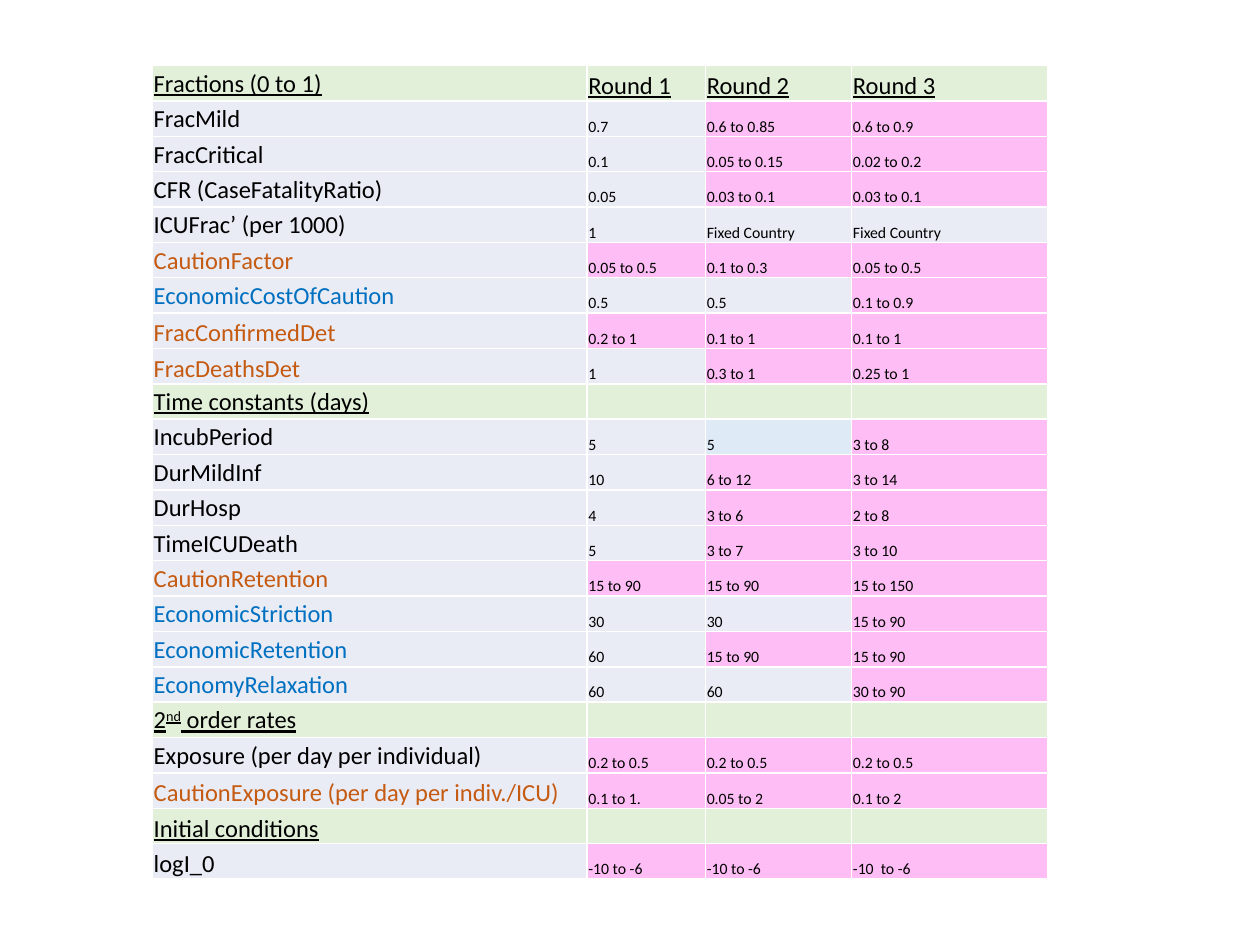
import pptx
import pptx.dml.color
import pptx.enum.text
import pptx.oxml.ns
import pptx.util
from lxml import etree

RGBColor = pptx.dml.color.RGBColor
Inches = pptx.util.Inches
MIDDLE = pptx.enum.text.MSO_ANCHOR.MIDDLE
BOTTOM = pptx.enum.text.MSO_ANCHOR.BOTTOM

BLACK = RGBColor(0x00, 0x00, 0x00)
ORANGE = RGBColor(0xC5, 0x5A, 0x11)
BLUE = RGBColor(0x00, 0x70, 0xC0)
WHITE = RGBColor(0xFF, 0xFF, 0xFF)
SECTION_FILL = RGBColor(0xE2, 0xF0, 0xD9)
FIXED_FILL = RGBColor(0xE9, 0xEB, 0xF5)
RANGE_FILL = RGBColor(0xFE, 0xBE, 0xF5)
SPECIAL_FILLS = {
    ("IncubPeriod", 2): RGBColor(0xDE, 0xEB, 0xF7),
    ("EconomicStriction", 2): RGBColor(0xE9, 0xEC, 0xF6),
}

# Each section: heading, heading cells, then (parameter, colour, rounds 1 to 3).
# A heading given as a tuple has its second part raised.
SECTIONS = [
    ("Fractions (0 to 1)", ("Round 1", "Round 2", "Round 3"), [
        ("FracMild", BLACK, ("0.7", "0.6 to 0.85", "0.6 to 0.9")),
        ("FracCritical", BLACK, ("0.1", "0.05 to 0.15", "0.02 to 0.2")),
        ("CFR (CaseFatalityRatio)", BLACK, ("0.05", "0.03 to 0.1", "0.03 to 0.1")),
        ("ICUFrac’ (per 1000)", BLACK, ("1", "Fixed Country", "Fixed Country")),
        ("CautionFactor", ORANGE, ("0.05 to 0.5", "0.1 to 0.3", "0.05 to 0.5")),
        ("EconomicCostOfCaution", BLUE, ("0.5", "0.5", "0.1 to 0.9")),
        ("FracConfirmedDet", ORANGE, ("0.2 to 1", "0.1 to 1", "0.1 to 1")),
        ("FracDeathsDet", ORANGE, ("1", "0.3 to 1", "0.25 to 1")),
    ]),
    ("Time constants (days)", ("", "", ""), [
        ("IncubPeriod", BLACK, ("5", "5", "3 to 8")),
        ("DurMildInf", BLACK, ("10", "6 to 12", "3 to 14")),
        ("DurHosp", BLACK, ("4", "3 to 6", "2 to 8")),
        ("TimeICUDeath", BLACK, ("5", "3 to 7", "3 to 10")),
        ("CautionRetention", ORANGE, ("15 to 90", "15 to 90", "15 to 150")),
        ("EconomicStriction", BLUE, ("30", "30", "15 to 90")),
        ("EconomicRetention", BLUE, ("60", "15 to 90", "15 to 90")),
        ("EconomyRelaxation", BLUE, ("60", "60", "30 to 90")),
    ]),
    (("2", "nd", " order rates"), ("", "", ""), [
        ("Exposure (per day per individual)", BLACK,
         ("0.2 to 0.5", "0.2 to 0.5", "0.2 to 0.5")),
        ("CautionExposure (per day per indiv./ICU)", ORANGE,
         ("0.1 to 1.", "0.05 to 2", "0.1 to 2")),
    ]),
    ("Initial conditions", ("", "", ""), [
        ("logI_0", BLACK, ("-10 to -6", "-10 to -6", "-10  to -6")),
    ]),
]
BOTTOM_LABELS = {"FracConfirmedDet", "FracDeathsDet", "Initial conditions", "logI_0",
                 "CautionExposure (per day per indiv./ICU)"}

LEFT, TOP, HEIGHT = 1.21, 0.52, 6.46
COLUMN_WIDTHS = (3.45, 0.94, 1.16, 1.56)
LABEL_SIZE, VALUE_SIZE = 14, 9


def add_borders(cell):
    properties = cell._tc.get_or_add_tcPr()
    for side in ("a:lnL", "a:lnR", "a:lnT", "a:lnB"):
        line = etree.SubElement(properties, pptx.oxml.ns.qn(side), w=str(pptx.util.Pt(1)))
        solid = etree.SubElement(line, pptx.oxml.ns.qn("a:solidFill"))
        etree.SubElement(solid, pptx.oxml.ns.qn("a:srgbClr"), val=str(WHITE))


def write_cell(cell, text, *, fill, size=VALUE_SIZE, color=BLACK, underline=False,
               anchor=BOTTOM):
    add_borders(cell)
    cell.fill.solid()
    cell.fill.fore_color.rgb = fill
    cell.margin_left = cell.margin_right = cell.margin_top = Inches(0.01)
    cell.margin_bottom = 0
    cell.vertical_anchor = anchor
    paragraph = cell.text_frame.paragraphs[0]
    if not text:
        # keeps an empty cell from stretching its row
        etree.SubElement(paragraph._p, pptx.oxml.ns.qn("a:endParaRPr"), sz=str(size * 100))
        return
    parts = (text,) if isinstance(text, str) else text
    for position, part in enumerate(parts):
        run = paragraph.add_run()
        run.text = part
        run.font.name = "Calibri"
        run.font.size = pptx.util.Pt(size)
        run.font.color.rgb = color
        run.font.underline = underline
        if position == 1:
            run._r.get_or_add_rPr().set("baseline", "30000")


def write_row(cells, label, rounds, *, color=BLACK, heading=False):
    label_fill = SECTION_FILL if heading else FIXED_FILL
    write_cell(cells[0], label, fill=label_fill, size=LABEL_SIZE, color=color,
               underline=heading, anchor=BOTTOM if label in BOTTOM_LABELS else MIDDLE)
    for number, value in enumerate(rounds, start=1):
        fill = RANGE_FILL if " to " in value else label_fill
        write_cell(cells[number], value, fill=SPECIAL_FILLS.get((label, number), fill),
                   size=LABEL_SIZE if heading and value else VALUE_SIZE, underline=heading)


def main():
    deck = pptx.Presentation()
    deck.slide_width, deck.slide_height = Inches(10), Inches(7.5)
    slide = deck.slides.add_slide(deck.slide_layouts[6])

    row_count = sum(1 + len(parameters) for _, _, parameters in SECTIONS)
    table = slide.shapes.add_table(
        row_count, len(COLUMN_WIDTHS), Inches(LEFT), Inches(TOP),
        Inches(sum(COLUMN_WIDTHS)), Inches(HEIGHT)).table
    table.first_row = table.horz_banding = False
    for column, width in zip(table.columns, COLUMN_WIDTHS):
        column.width = Inches(width)

    rows = iter(table.rows)
    for heading, rounds, parameters in SECTIONS:
        write_row(next(rows).cells, heading, rounds, heading=True)
        for label, color, values in parameters:
            write_row(next(rows).cells, label, values, color=color)

    deck.save("out.pptx")


if __name__ == "__main__":
    main()
